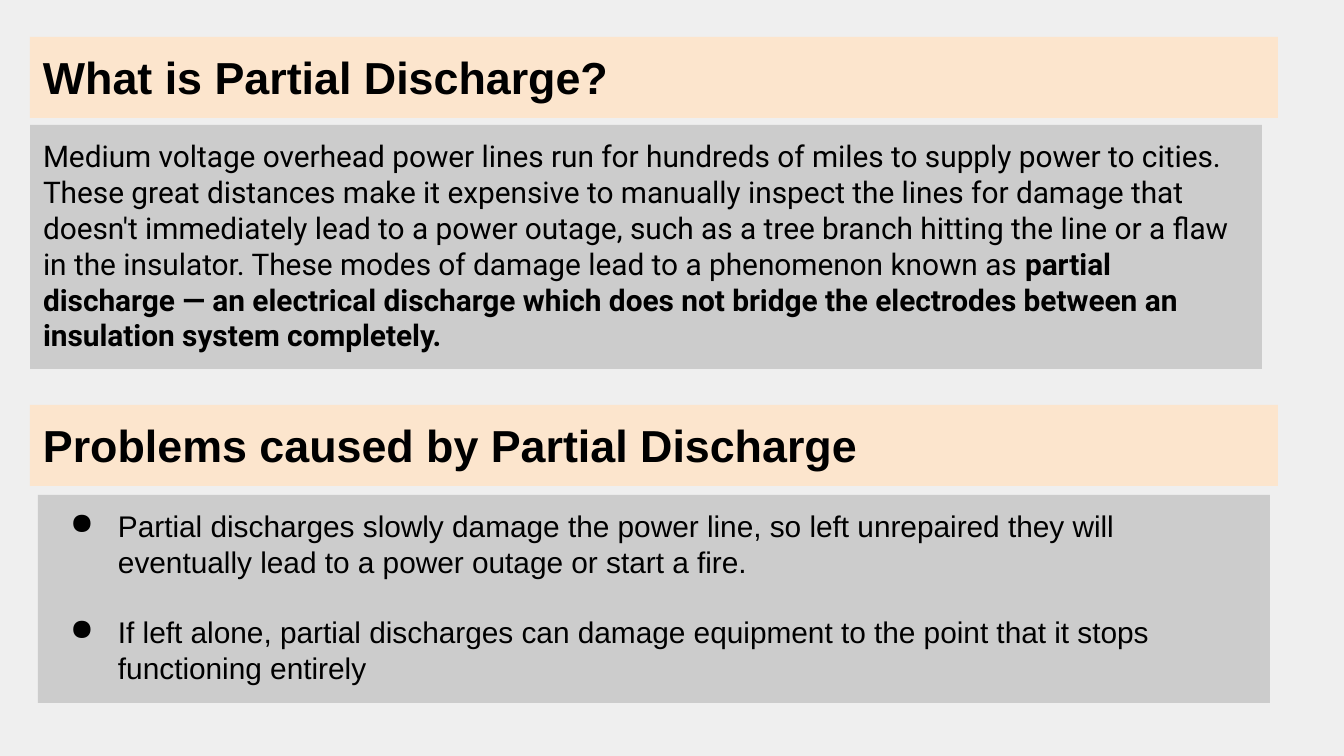
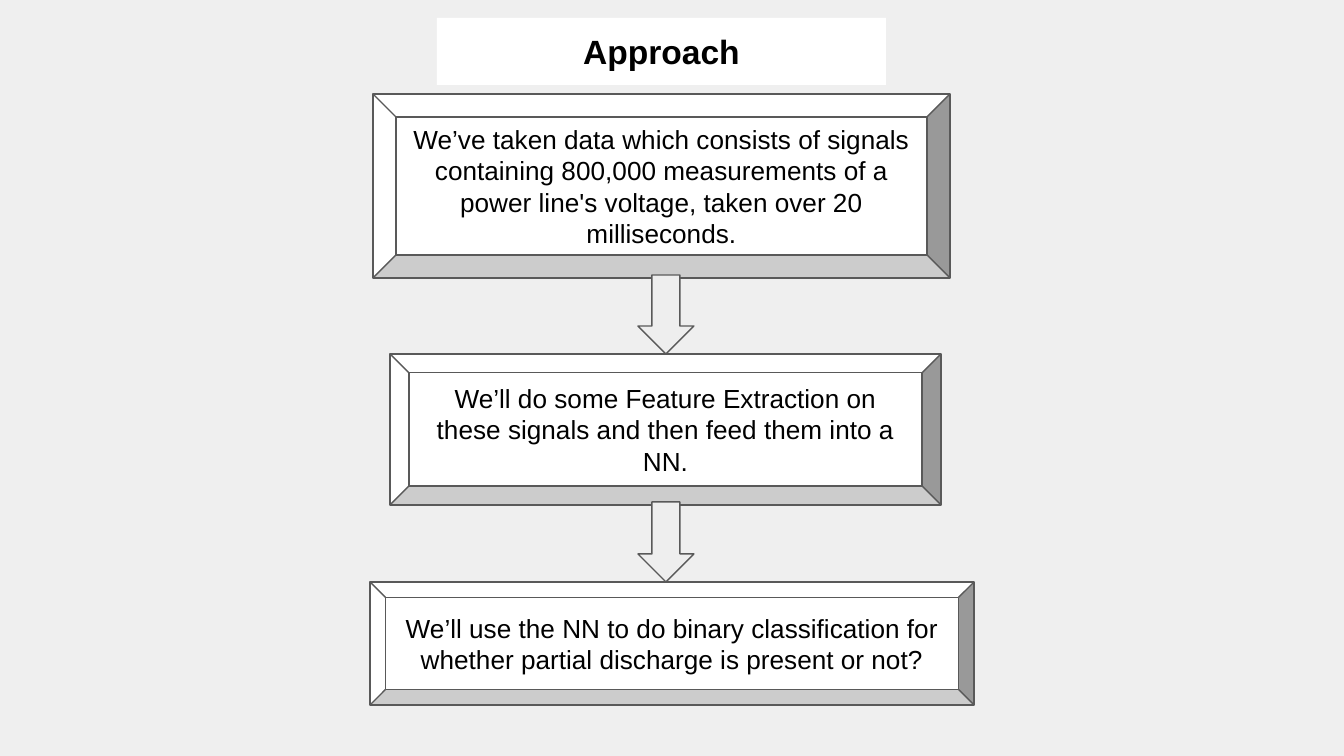
from dataclasses import dataclass
from itertools import pairwise

from lxml.etree import SubElement
from pptx import Presentation
from pptx.dml.color import RGBColor
from pptx.enum.shapes import MSO_SHAPE
from pptx.enum.text import MSO_ANCHOR, PP_ALIGN
from pptx.oxml.ns import qn
from pptx.util import Pt

EMU_PER_PX = 914400 / 134.4
WIDTH, HEIGHT = 1344, 756
INSET = 13


@dataclass(frozen=True)
class Theme:
    background: RGBColor = RGBColor(0xEF, 0xEF, 0xEF)
    band: RGBColor = RGBColor(0xFC, 0xE5, 0xCD)
    panel: RGBColor = RGBColor(0xCC, 0xCC, 0xCC)
    step: RGBColor = RGBColor(0xFF, 0xFF, 0xFF)
    arrow: RGBColor = RGBColor(0xEE, 0xEE, 0xEE)
    outline: RGBColor = RGBColor(0x59, 0x59, 0x59)
    ink: RGBColor = RGBColor(0, 0, 0)
    font: str = "Arial"
    prose_font: str = "Roboto"
    heading_size: int = 24
    title_size: int = 18
    body_size: int = 16
    step_size: int = 14
    outline_width: float = 0.75


THEME = Theme()


def px(length):
    return round(length * EMU_PER_PX)


def add_slide(deck):
    slide = deck.slides.add_slide(deck.slide_layouts[6])
    slide.background.fill.solid()
    slide.background.fill.fore_color.rgb = THEME.background
    return slide


def add_block(slide, kind, box, fill, outlined=False):
    block = slide.shapes.add_shape(kind, *map(px, box))
    block.shadow.inherit = False
    block.fill.solid()
    block.fill.fore_color.rgb = fill
    if outlined:
        block.line.color.rgb = THEME.outline
        block.line.width = Pt(THEME.outline_width)
    else:
        block.line.fill.background()
    return block


def write(block, paragraphs, size, font=THEME.font, bold=None,
          align=PP_ALIGN.LEFT, anchor=MSO_ANCHOR.TOP):
    """Fill a block; each paragraph is a list of (words, bold) runs or a string."""
    frame = block.text_frame
    frame.word_wrap = True
    frame.vertical_anchor = anchor
    frame.margin_left = frame.margin_right = px(INSET)
    frame.margin_top = frame.margin_bottom = px(INSET)
    for index, content in enumerate(paragraphs):
        paragraph = frame.add_paragraph() if index else frame.paragraphs[0]
        paragraph.alignment = align
        paragraph.font.name = font
        paragraph.font.size = Pt(size)
        paragraph.font.bold = bold
        paragraph.font.color.rgb = THEME.ink
        runs = [(content, None)] if isinstance(content, str) else content
        for words, emphasis in runs:
            run = paragraph.add_run()
            run.text = words
            if emphasis:
                run.font.bold = True
    return frame.paragraphs


def add_bullet(paragraph, indent=67, hang=48):
    properties = paragraph._p.get_or_add_pPr()
    properties.set("marL", str(px(indent)))
    properties.set("indent", str(-px(hang)))
    colour = SubElement(SubElement(properties, qn("a:buClr")), qn("a:srgbClr"))
    colour.set("val", str(THEME.ink))
    SubElement(properties, qn("a:buChar")).set("char", "●")
    # Schema order puts default run properties after the bullet.
    properties.append(properties.find(qn("a:defRPr")))


def add_section(slide, left, top, heading, panel_box, paragraphs,
                font=THEME.font, bulleted=False):
    """Heading band with a panel whose box is relative to the band's corner."""
    band = add_block(slide, MSO_SHAPE.RECTANGLE, (left, top, 1248, 81), THEME.band)
    write(band, [heading], THEME.heading_size, bold=True)
    x, y, width, height = panel_box
    panel = add_block(slide, MSO_SHAPE.RECTANGLE,
                      (left + x, top + y, width, height), THEME.panel)
    lines = write(panel, paragraphs, THEME.body_size, font)
    if bulleted:
        for line in lines:
            add_bullet(line)
        for line in lines[1:]:
            line.space_before = Pt(THEME.body_size * 1.15)


def build_partial_discharge(deck):
    slide = add_slide(deck)
    definition = [
        ("Medium voltage overhead power lines run for hundreds of miles to supply "
         "power to cities. These great distances make it expensive to manually "
         "inspect the lines for damage that doesn't immediately lead to a power "
         "outage, such as a tree branch hitting the line or a flaw in the insulator. "
         "These modes of damage lead to a phenomenon known as ", False),
        ("partial discharge — an electrical discharge which does not bridge the "
         "electrodes between an insulation system completely.", True),
    ]
    problems = [
        "Partial discharges slowly damage the power line, so left unrepaired they "
        "will eventually lead to a power outage or start a fire.",
        "If left alone, partial discharges can damage equipment to the point that "
        "it stops functioning entirely",
    ]
    add_section(slide, 30, 37, "What is Partial Discharge?",
                (0, 88, 1232, 244), [definition], font=THEME.prose_font)
    add_section(slide, 30, 405, "Problems caused by Partial Discharge",
                (8, 90, 1232, 208), problems, bulleted=True)


def add_flow(slide, steps, arrow_left=638, arrow_width=56, overlap=3):
    """Bevelled steps, with an arrow from each step's foot to the next one's top."""
    for box, words in steps:
        step = add_block(slide, MSO_SHAPE.BEVEL, box, THEME.step, outlined=True)
        write(step, [words], THEME.step_size,
              align=PP_ALIGN.CENTER, anchor=MSO_ANCHOR.MIDDLE)
    for (upper, _), (lower, _) in pairwise(steps):
        start = upper[1] + upper[3] - overlap
        add_block(slide, MSO_SHAPE.DOWN_ARROW,
                  (arrow_left, start, arrow_width, lower[1] - start),
                  THEME.arrow, outlined=True)


def build_approach(deck):
    slide = add_slide(deck)
    title = add_block(slide, MSO_SHAPE.RECTANGLE, (437, 18, 449, 67), THEME.step)
    write(title, ["Approach"], THEME.title_size, bold=True, align=PP_ALIGN.CENTER)
    add_flow(slide, [
        ((373, 94, 577, 184),
         "We’ve taken data which consists of signals containing 800,000 "
         "measurements of a power line's voltage, taken over 20 milliseconds."),
        ((390, 354, 551, 151),
         "We’ll do some Feature Extraction on these signals and then feed them "
         "into a NN."),
        ((370, 582, 604, 123),
         "We’ll use the NN to do binary classification for whether partial "
         "discharge is present or not?"),
    ])


def main():
    deck = Presentation()
    deck.slide_width, deck.slide_height = px(WIDTH), px(HEIGHT)
    build_partial_discharge(deck)
    build_approach(deck)
    deck.save("out.pptx")


if __name__ == "__main__":
    main()
